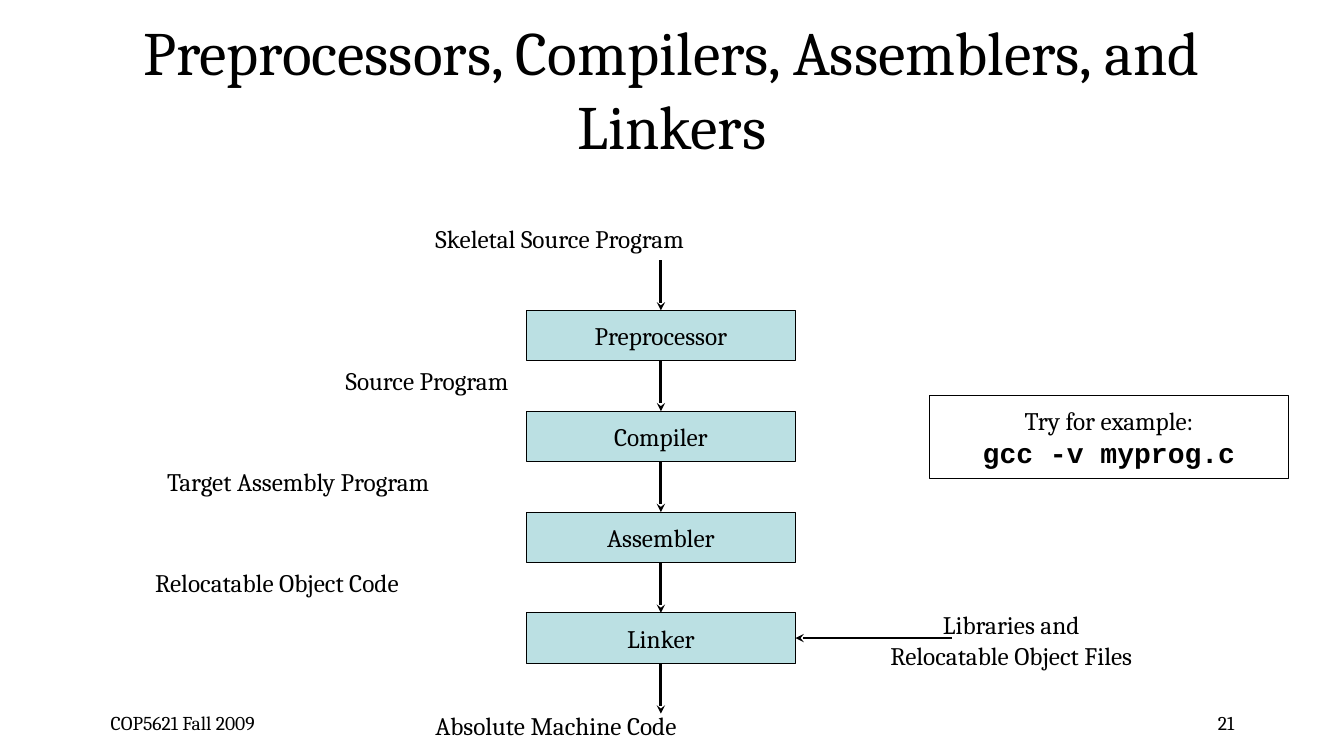
from lxml.etree import SubElement
from pptx import Presentation
from pptx.dml.color import RGBColor
from pptx.enum.shapes import MSO_CONNECTOR, MSO_SHAPE
from pptx.enum.text import MSO_ANCHOR, MSO_AUTO_SIZE, PP_ALIGN
from pptx.oxml.ns import qn
from pptx.util import Inches, Pt

FONT = "Cambria"
BLACK = "000000"
TEAL = "BBE0E3"
TOP, LEFT, BOTTOM, RIGHT = range(4)  # connection sites of a rectangle

BOX_X, BOX_Y, BOX_W, BOX_H = 5.22, 3.08, 2.67, 0.5
STEP = 1
MID_X = BOX_X + BOX_W / 2
STAGES = ["Preprocessor", "Compiler", "Assembler", "Linker"]
LABELS = [
    ("Skeletal Source Program", 4.22, 2.17, 3.01),
    ("Source Program", 3.33, 3.58, 2.04),
    ("Target Assembly Program", 1.56, 4.58, 3.09),
    ("Relocatable Object Code", 1.44, 5.58, 3.01),
    ("Absolute Machine Code", 4.22, 7, 2.88),
]


def color(value):
    return RGBColor.from_string(value)


def write(tf, lines, size, align):
    for i, line in enumerate(lines):
        p = tf.paragraphs[0] if i == 0 else tf.add_paragraph()
        p.text = line
        p.alignment = align
        p.font.name = FONT
        p.font.size = Pt(size)
        p.font.color.rgb = color(BLACK)


def add_text(s, lines, x, y, w, h, size=18, align=PP_ALIGN.LEFT, wrap=False):
    tf = s.shapes.add_textbox(Inches(x), Inches(y), Inches(w), Inches(h)).text_frame
    tf.word_wrap = wrap
    if not wrap:
        tf.auto_size = MSO_AUTO_SIZE.SHAPE_TO_FIT_TEXT
    write(tf, lines, size, align)
    return tf


def add_box(s, lines, x, y, w, h, fill=None):
    sp = s.shapes.add_shape(MSO_SHAPE.RECTANGLE, Inches(x), Inches(y), Inches(w), Inches(h))
    sp.shadow.inherit = False
    if fill:
        sp.fill.solid()
        sp.fill.fore_color.rgb = color(fill)
    else:
        sp.fill.background()
    sp.line.color.rgb = color(BLACK)
    sp.line.width = Pt(0.75)
    tf = sp.text_frame
    tf.word_wrap = False
    tf.vertical_anchor = MSO_ANCHOR.MIDDLE
    write(tf, lines, 18, PP_ALIGN.CENTER)
    return sp


def add_arrow(s, x1, y1, x2, y2, begin=None, end=None, end_site=TOP):
    c = s.shapes.add_connector(
        MSO_CONNECTOR.STRAIGHT, Inches(x1), Inches(y1), Inches(x2), Inches(y2))
    if begin is not None:
        c.begin_connect(begin, BOTTOM)
    if end is not None:
        c.end_connect(end, end_site)
    c.line.color.rgb = color(BLACK)
    c.line.width = Pt(2)
    SubElement(c.line._get_or_add_ln(), qn("a:tailEnd"), type="stealth")
    SubElement(c._element.spPr, qn("a:effectLst"))


def main():
    prs = Presentation()
    prs.slide_width, prs.slide_height = Inches(13.33), Inches(7.5)
    s = prs.slides.add_slide(prs.slide_layouts[6])

    # Title
    tf = add_text(s, ["Preprocessors, Compilers, Assemblers, and Linkers"],
                  1, 0.25, 11.33, 1.25, 44, PP_ALIGN.CENTER, True)
    tf.vertical_anchor = MSO_ANCHOR.MIDDLE

    # Tool chain, with an arrow into each stage and one out of the last
    boxes = [add_box(s, [name], BOX_X, BOX_Y + i * STEP, BOX_W, BOX_H, TEAL)
             for i, name in enumerate(STAGES)]
    for i, (begin, end) in enumerate(zip([None] + boxes, boxes + [None])):
        y = BOX_Y + i * STEP
        add_arrow(s, MID_X, y - STEP + BOX_H, MID_X, y, begin, end)

    # Program forms between the stages
    for text, x, y, w in LABELS:
        add_text(s, [text], x, y, w, 0.4)

    # Second input of the linker
    add_text(s, ["Libraries and", "Relocatable Object Files"],
             8.56, 6, 2.94, 0.71, align=PP_ALIGN.CENTER)
    add_arrow(s, 9.44, 6.33, BOX_X + BOX_W, 6.33, end=boxes[-1], end_site=RIGHT)

    # Example command
    example = add_box(s, ["Try for example:", "gcc -v myprog.c"], 9.22, 3.92, 3.56, 0.83)
    command = example.text_frame.paragraphs[1].font
    command.name = "Courier New"
    command.size = Pt(20)
    command.bold = True

    # Footer
    add_text(s, ["COP5621 Fall 2009"], 1, 7, 2.67, 0.33, 14, wrap=True)
    add_text(s, ["21"], 9.56, 7, 2.78, 0.33, 14, PP_ALIGN.RIGHT, True)

    prs.save("out.pptx")


if __name__ == "__main__":
    main()
